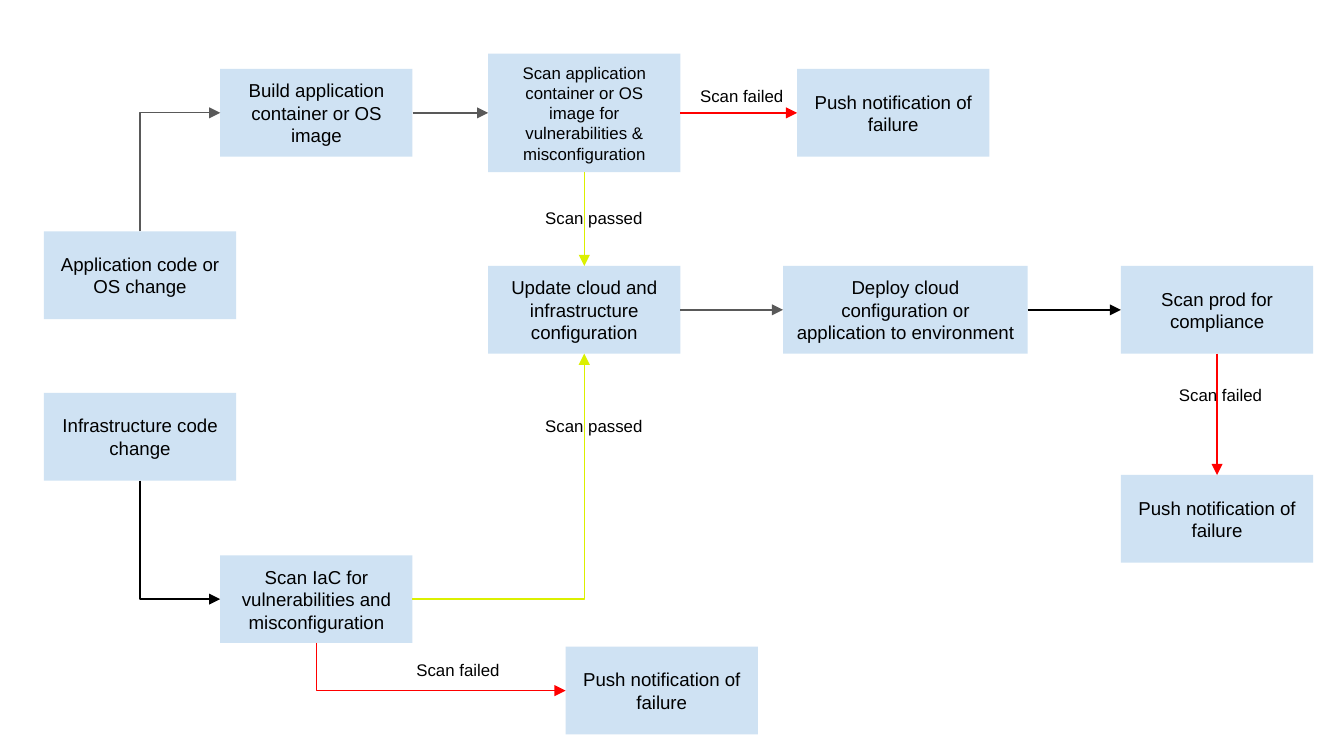
import pptx
import pptx.util
import pptx.dml.color
import pptx.enum.dml
import pptx.enum.shapes
import pptx.enum.text
import pptx.oxml
import pptx.oxml.ns
import lxml.etree

Pt = pptx.util.Pt
HUES = {"box": "CFE2F3", "text": "000000", "gray": "595959",
        "black": "000000", "pass": "DBF000", "fail": "FF0000"}
TOP, LEFT, BOTTOM, RIGHT = range(4)  # connection sites of a rectangle


def color(name):
    return pptx.dml.color.RGBColor.from_string(HUES[name])


def write(shape, text, size, align):
    frame = shape.text_frame
    frame.word_wrap = True
    para = frame.paragraphs[0]
    para.alignment = align
    run = para.add_run()
    run.text = text
    for key, val in {"name": "Arial", "size": Pt(size)}.items():
        setattr(run.font, key, val)
    run.font.color.rgb = color("text")
    return frame


# Slide
deck = pptx.Presentation()
deck.slide_width, deck.slide_height = Pt(720), Pt(405)
slide = deck.slides.add_slide(deck.slide_layouts[6])
shapes = slide.shapes

# Step boxes: left, top, width, height, text size, text
WIDE, HIGH = 103, 47
ALERT = "Push notification of failure"
steps = {
    "app": (23.5, 124, WIDE, HIGH, 10, "Application code or OS change"),
    "infra": (23.5, 210.5, WIDE, HIGH, 10, "Infrastructure code change"),
    "build": (118, 37, WIDE, HIGH, 10, "Build application container or OS image"),
    "iac": (118, 297.5, WIDE, HIGH, 10,
            "Scan IaC for vulnerabilities and misconfiguration"),
    "scan": (261.5, 28.75, WIDE, 63.5, 9,
             "Scan application container or OS image for "
             "vulnerabilities & misconfiguration"),
    "update": (261.5, 142.5, WIDE, HIGH, 10,
               "Update cloud and infrastructure configuration"),
    "deploy": (419.5, 142.5, 131, HIGH, 10,
               "Deploy cloud configuration or application to environment"),
    "prod": (600.5, 142.5, WIDE, HIGH, 10, "Scan prod for compliance"),
    "alert1": (427, 37, WIDE, HIGH, 10, ALERT),
    "alert2": (600.5, 254.5, WIDE, HIGH, 10, ALERT),
    "alert3": (303, 346.5, WIDE, HIGH, 10, ALERT),
}
inset = {"margin_" + side: Pt(7.2) for side in ("left", "top", "right", "bottom")}
inset["vertical_anchor"] = pptx.enum.text.MSO_ANCHOR.MIDDLE
boxes = {}
for name, (x, y, w, h, size, text) in steps.items():
    box = shapes.add_shape(pptx.enum.shapes.MSO_SHAPE.RECTANGLE,
                           Pt(x), Pt(y), Pt(w), Pt(h))
    box.shadow.inherit = False
    box.fill.solid()
    box.fill.fore_color.rgb = color("box")
    box.line.fill.background()
    frame = write(box, text, size, pptx.enum.text.PP_ALIGN.CENTER)
    for key, val in inset.items():
        setattr(frame, key, val)
    boxes[name] = box

# Arrows: start box and site, end box and site, color
arrows = [
    ("app", TOP, "build", LEFT, "gray"),
    ("build", RIGHT, "scan", LEFT, "gray"),
    ("scan", RIGHT, "alert1", LEFT, "fail"),
    ("scan", BOTTOM, "update", TOP, "pass"),
    ("update", RIGHT, "deploy", LEFT, "gray"),
    ("deploy", RIGHT, "prod", LEFT, "black"),
    ("prod", BOTTOM, "alert2", TOP, "fail"),
    ("infra", BOTTOM, "iac", LEFT, "black"),
    ("iac", RIGHT, "update", BOTTOM, "pass"),
    ("iac", BOTTOM, "alert3", LEFT, "fail"),
]
qn = pptx.oxml.ns.qn
for start, out, end, into, hue in arrows:
    line = shapes.add_connector(pptx.enum.shapes.MSO_CONNECTOR.ELBOW, 0, 0, 0, 0)
    line.begin_connect(boxes[start], out)
    line.end_connect(boxes[end], into)
    line.line.color.rgb = color(hue)
    line.line.width = Pt(0.75)
    props = line._element.spPr
    # A path between a side and a top or bottom has one corner
    if out % 2 != into % 2:
        props.find(qn("a:prstGeom")).set("prst", "bentConnector2")
    # A path that leaves vertically is a turned frame
    if out in (TOP, BOTTOM):
        dx, dy = line.end_x - line.begin_x, line.end_y - line.begin_y
        midx, midy = line.begin_x + dx // 2, line.begin_y + dy // 2
        line.width, line.height = abs(dy), abs(dx)
        line.left, line.top = midx - abs(dy) // 2, midy - abs(dx) // 2
        turn = {"rot": "5400000", "flipH": str(int(dy < 0)),
                "flipV": str(int(dx > 0))}
        for key, val in turn.items():
            props.find(qn("a:xfrm")).set(key, val)
    lxml.etree.SubElement(props.find(qn("a:ln")), qn("a:tailEnd"), type="triangle")
    lxml.etree.SubElement(props, qn("a:effectLst"))

# Arrow labels
labels = [
    (285, 107.5, 81.5, "Scan passed"),
    (285, 219, 81.5, "Scan passed"),
    (368, 42.5, 69, "Scan failed"),
    (624.5, 202.5, 69, "Scan failed"),
    (216, 350, 69, "Scan failed"),
]
for x, y, w, text in labels:
    label = shapes.add_textbox(Pt(x), Pt(y), Pt(w), Pt(18))
    write(label, text, 9, pptx.enum.text.PP_ALIGN.LEFT)

deck.save("out.pptx")
